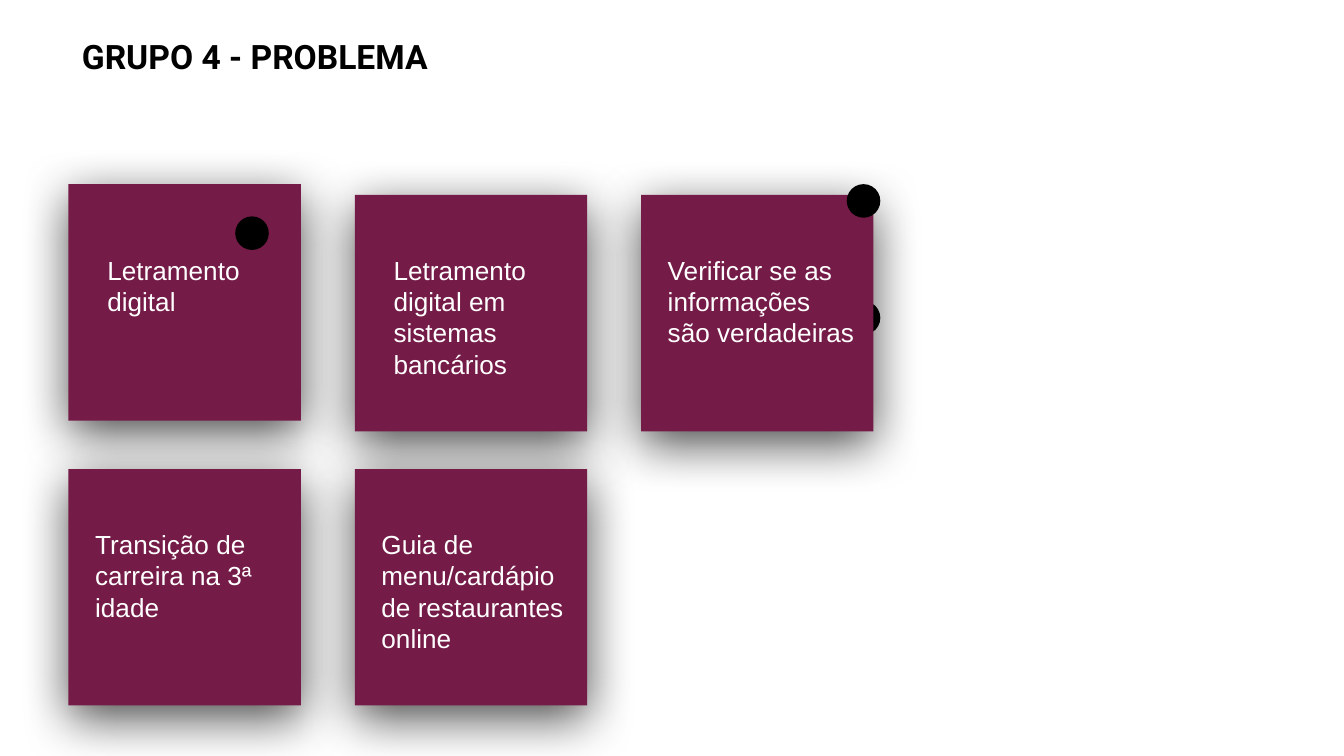
import pptx
import pptx.util
import pptx.dml.color
import pptx.enum.shapes
import pptx.enum.text
import pptx.oxml
import pptx.oxml.ns

Inches, Pt = pptx.util.Inches, pptx.util.Pt
RGB = pptx.dml.color.RGBColor.from_string
SHAPE = pptx.enum.shapes.MSO_SHAPE
COLORS = {"card": "741B47", "ink": "000000", "text": "FFFFFF"}
LEFT, TOP, COL, ROW = 0.51, 1.45, 2.13, 2.04
CARD_W, CARD_H, DOT = 1.73, 1.76, 0.25
SHADOW = (
    f'<a:effectLst {pptx.oxml.ns.nsdecls("a")}>'
    f'<a:outerShdw blurRad="{Pt(27)}" dist="{Pt(6.8)}" dir="5400000" algn="bl" rotWithShape="0">'
    f'<a:srgbClr val="{COLORS["ink"]}"><a:alpha val="70000"/></a:srgbClr>'
    '</a:outerShdw></a:effectLst>'
)


def add_block(shapes, kind, x, y, w, h, color):
    sp = shapes.add_shape(kind, Inches(x), Inches(y), Inches(w), Inches(h))
    sp.shadow.inherit = False
    sp.fill.solid()
    sp.fill.fore_color.rgb = RGB(COLORS[color])
    sp.line.fill.background()
    return sp


def set_text(sp, text, font, size, color, bold):
    tf = sp.text_frame
    tf.word_wrap = True
    tf.auto_size = pptx.enum.text.MSO_AUTO_SIZE.SHAPE_TO_FIT_TEXT
    tf.vertical_anchor = pptx.enum.text.MSO_ANCHOR.TOP
    tf.margin_left = tf.margin_right = tf.margin_top = tf.margin_bottom = Inches(0.1)
    p = tf.paragraphs[0]
    p.text = text
    p.alignment = pptx.enum.text.PP_ALIGN.LEFT
    p.font.name, p.font.size, p.font.bold = font, Pt(size), bold
    p.font.color.rgb = RGB(COLORS[color])


prs = pptx.Presentation()
prs.slide_width = Inches(10)
prs.slide_height = prs.slide_width * 9 // 16
s = prs.slides.add_slide(prs.slide_layouts[5])

title = s.shapes.title
title.left, title.top, title.width, title.height = map(Inches, (LEFT, 0.17, 3.51, 0.5))
set_text(title, "GRUPO 4 - PROBLEMA", "Roboto", 18, "ink", True)

dot_x = LEFT + 2 * COL + CARD_W - 0.2
add_block(s.shapes, SHAPE.OVAL, dot_x, 2.24, DOT, DOT, "ink")

cards = [
    (0, 0, -0.08, 0.19, 2, False, "Letramento digital"),
    (1, 0, 0, 0.19, 4, False, "Letramento digital em sistemas bancários"),
    (2, 0, 0, 0.1, 3, True, "Verificar se as informações são verdadeiras"),
    (0, 1, 0, 0.1, 3, True, "Transição de carreira na 3ª idade"),
    (1, 1, 0, 0.1, 4, True, "Guia de menu/cardápio de restaurantes online"),
]
for col, row, shift, indent, lines, grouped, text in cards:
    shapes = s.shapes.add_group_shape().shapes if grouped else s.shapes
    x, y = LEFT + col * COL, TOP + row * ROW
    card = add_block(shapes, SHAPE.RECTANGLE, x, y + shift, CARD_W, CARD_H, "card")
    effects = card._element.spPr.find(pptx.oxml.ns.qn("a:effectLst"))
    card._element.spPr.replace(effects, pptx.oxml.parse_xml(SHADOW))
    width = 1.6 if grouped else 1.26
    height = 0.2 + lines * 0.235
    box = shapes.add_textbox(Inches(x + indent), Inches(y + 0.34), Inches(width), Inches(height))
    set_text(box, text, "Arial", 14, "text", False)

for x, y in [(1.75, 1.61), (dot_x, 1.37)]:
    add_block(s.shapes, SHAPE.OVAL, x, y, DOT, DOT, "ink")

prs.save("out.pptx")
